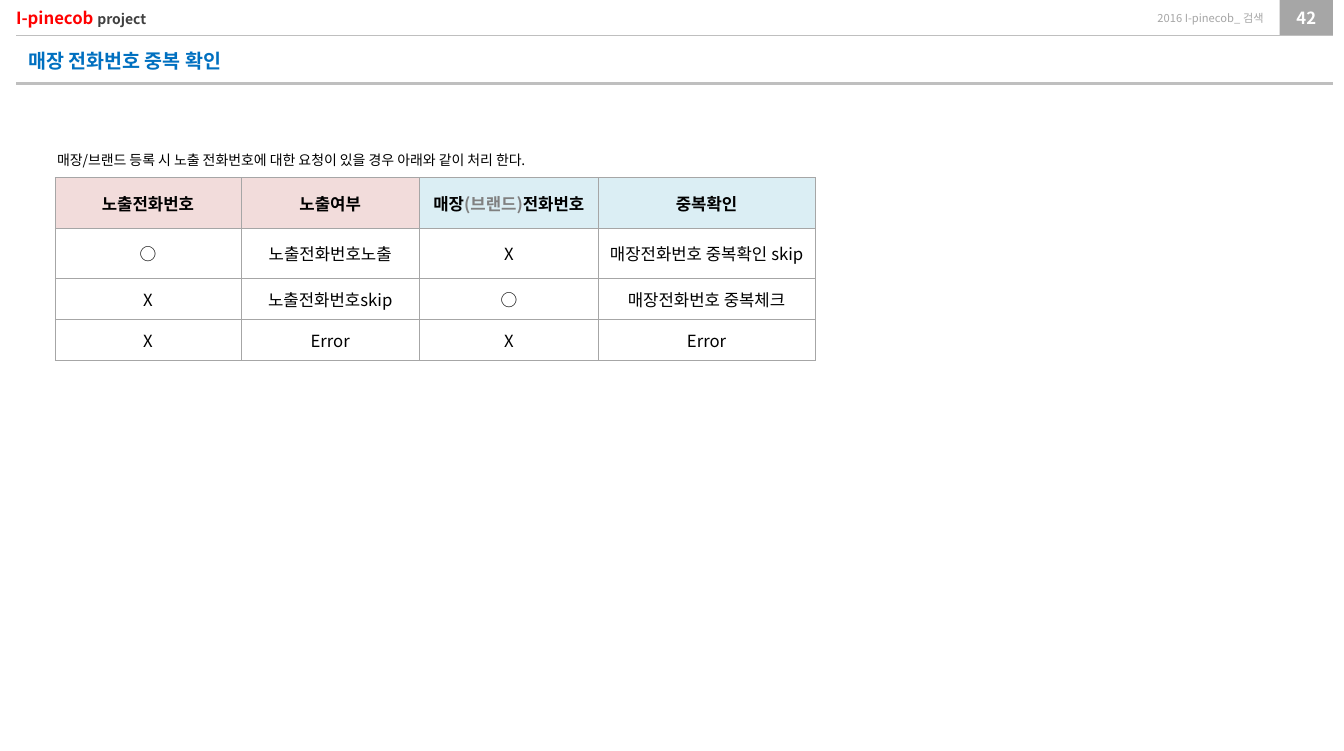
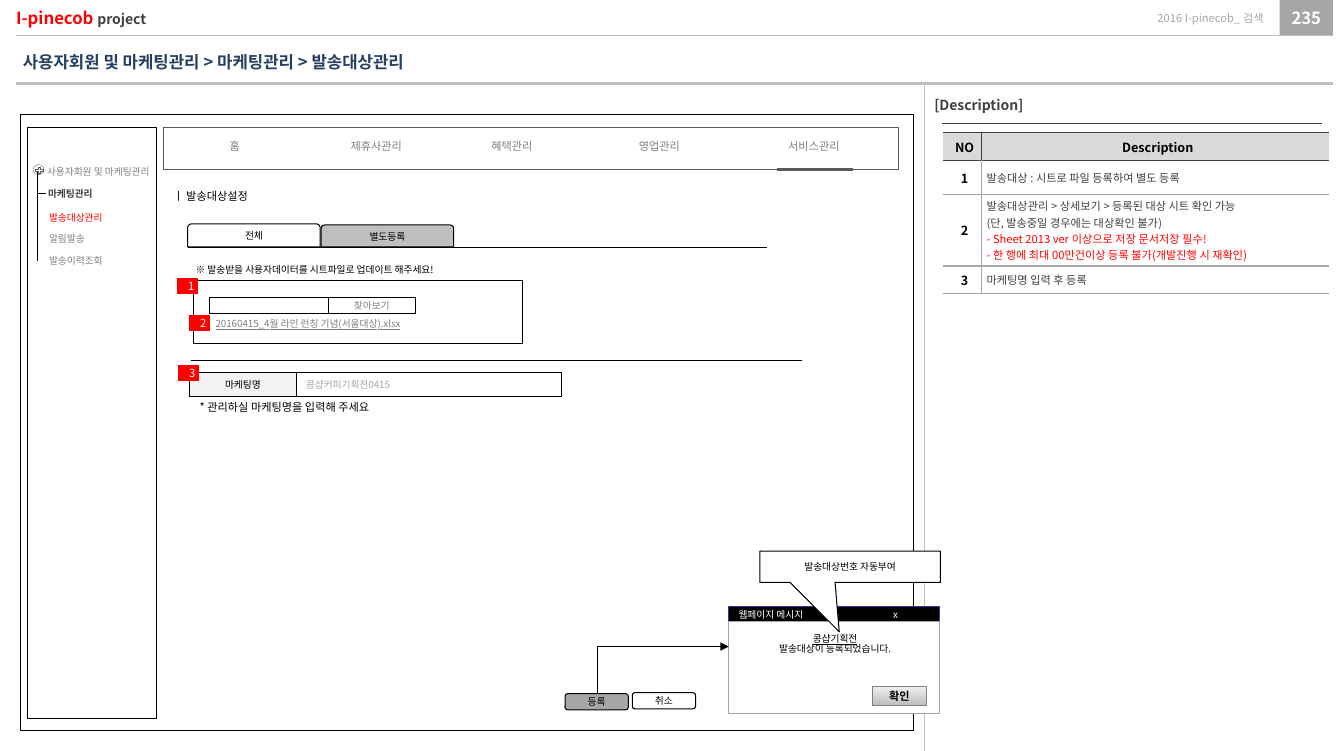
from dataclasses import dataclass
from typing import NamedTuple

from lxml import etree
from pptx import Presentation
from pptx.dml.color import RGBColor
from pptx.enum.shapes import MSO_CONNECTOR, MSO_SHAPE
from pptx.enum.text import MSO_ANCHOR, PP_ALIGN
from pptx.oxml.ns import qn
from pptx.util import Inches, Pt

FONT = "Noto Sans CJK KR"
LEFT, CENTER, RIGHT = PP_ALIGN.LEFT, PP_ALIGN.CENTER, PP_ALIGN.RIGHT
TOP, MIDDLE = MSO_ANCHOR.TOP, MSO_ANCHOR.MIDDLE
STRAIGHT, ELBOW = MSO_CONNECTOR.STRAIGHT, MSO_CONNECTOR.ELBOW
RECT, ROUND, TAB = MSO_SHAPE.RECTANGLE, MSO_SHAPE.ROUNDED_RECTANGLE, MSO_SHAPE.ROUND_2_SAME_RECTANGLE
OVAL, PLUS, CALLOUT = MSO_SHAPE.OVAL, MSO_SHAPE.MATH_PLUS, MSO_SHAPE.RECTANGULAR_CALLOUT

# Page grid: square cells, ten to the inch
COLUMNS, ROWS = 133.9, 74.8
BAND_RIGHT = 132.8
BLACK, WHITE, RED = "000000", "FFFFFF", "FF0000"
DARK, SLATE, MID, GREY, RULE = "404040", "595959", "808080", "A6A6A6", "BFBFBF"
PINK, SKY, HEAD, PALE = "F2DCDB", "DBEEF4", "D9D9D9", "F2F2F2"
NO_INSET = (0, 0, 0, 0)
CELL_INSET = (0.5, 0, 0, 0)
INSET = (1, 0.5, 1, 0.5)


class Area(NamedTuple):
    col: float
    row: float
    cols: float
    rows: float


class Point(NamedTuple):
    col: float
    row: float


@dataclass(frozen=True)
class Span:
    text: str
    size: float = 7
    color: str = BLACK
    bold: bool = False
    underline: bool = False


Para = list[Span]


@dataclass(frozen=True)
class Panel:
    """A shape on the page, with or without text."""
    area: Area
    paras: tuple[Para, ...] = ()
    fill: str | None = WHITE
    line: str | None = BLACK
    weight: float = 0.75
    kind: int = RECT
    align: int = CENTER
    inset: tuple[float, ...] = INSET


@dataclass(frozen=True)
class Label:
    """A plain text box."""
    area: Area
    paras: tuple[Para, ...]
    align: int = LEFT
    anchor: int = TOP
    inset: tuple[float, ...] = INSET


@dataclass(frozen=True)
class Rule:
    start: Point
    end: Point
    color: str = BLACK
    weight: float = 0.75


@dataclass(frozen=True)
class Cell:
    paras: tuple[Para, ...]
    borders: dict[str, str]
    fill: str | None = None
    align: int = CENTER
    inset: tuple[float, ...] = INSET


def grid(cells: float) -> int:
    return Inches(cells / 10)


def rgb(value: str) -> RGBColor:
    return RGBColor.from_string(value)


def paint(fill, color: str | None) -> None:
    if color is None:
        fill.background()
    else:
        fill.solid()
        fill.fore_color.rgb = rgb(color)


def stroke(line, color: str | None, weight: float) -> None:
    paint(line.fill, color)
    line.width = Pt(weight)


def set_margins(target, inset: tuple[float, ...]) -> None:
    for side, value in zip(("left", "top", "right", "bottom"), inset):
        setattr(target, f"margin_{side}", grid(value))


def write(frame, paras: tuple[Para, ...], align: int) -> None:
    for index, spans in enumerate(paras):
        para = frame.paragraphs[0] if index == 0 else frame.add_paragraph()
        para.alignment = align
        for span in spans:
            run = para.add_run()
            run.text = span.text
            formats = {"name": FONT, "size": Pt(span.size), "bold": span.bold, "underline": span.underline}
            for name, value in formats.items():
                setattr(run.font, name, value)
            run.font.color.rgb = rgb(span.color)
            etree.SubElement(run.font._element, qn("a:ea"), typeface=FONT)


def set_frame(frame, item: Panel | Label, anchor: int) -> None:
    frame.word_wrap = True
    frame.vertical_anchor = anchor
    set_margins(frame, item.inset)
    write(frame, item.paras, item.align)


def draw_panel(page, item: Panel):
    shape = page.shapes.add_shape(item.kind, *map(grid, item.area))
    shape.shadow.inherit = False
    paint(shape.fill, item.fill)
    stroke(shape.line, item.line, item.weight)
    if item.paras:
        set_frame(shape.text_frame, item, MIDDLE)
    return shape


def draw_label(page, item: Label):
    box = page.shapes.add_textbox(*map(grid, item.area))
    set_frame(box.text_frame, item, item.anchor)
    return box


def draw_rule(page, item: Rule, kind: int = STRAIGHT):
    rule = page.shapes.add_connector(kind, *map(grid, item.start + item.end))
    stroke(rule.line, item.color, item.weight)
    etree.SubElement(rule._element.spPr, qn("a:effectLst"))
    return rule


def draw_all(page, items: list[Panel | Label | Rule]) -> None:
    tools = {Panel: draw_panel, Label: draw_label, Rule: draw_rule}
    for item in items:
        tools[type(item)](page, item)


def draw_borders(cell, borders: dict[str, str], weight: float) -> None:
    props = cell._tc.get_or_add_tcPr()
    for index, side in enumerate("LRTB"):
        line = etree.Element(qn(f"a:ln{side}"), w=str(Pt(weight)))
        if side in borders:
            solid = etree.SubElement(line, qn("a:solidFill"))
            etree.SubElement(solid, qn("a:srgbClr"), val=borders[side])
        else:
            etree.SubElement(line, qn("a:noFill"))
        props.insert(index, line)


def draw_table(page, origin: Point, widths: list[float], heights: list[float],
               rows: list[list[Cell]], weight: float) -> None:
    area = Area(*origin, sum(widths), sum(heights))
    table = page.shapes.add_table(len(heights), len(widths), *map(grid, area)).table
    table.first_row = table.horz_banding = False
    for column, width in zip(table.columns, widths):
        column.width = grid(width)
    for row, height, items in zip(table.rows, heights, rows):
        row.height = grid(height)
        for cell, item in zip(row.cells, items):
            paint(cell.fill, item.fill)
            draw_borders(cell, item.borders, weight)
            cell.vertical_anchor = MIDDLE
            set_margins(cell, item.inset)
            write(cell.text_frame, item.paras, item.align)


def add_page(deck, number: int, title: Label):
    """Blank page with the shared header band and its title."""
    page = deck.slides.add_slide(deck.slide_layouts[6])
    brand = [Span("I-pinecob ", 12, RED, True), Span("project", 10, DARK, True)]
    draw_all(page, [
        Panel(Area(127.5, 0, 5.3, 3.5), ([Span(str(number), 12, WHITE, True)],), GREY, None, inset=NO_INSET),
        Rule(Point(1.6, 8.3), Point(BAND_RIGHT, 8.3), RULE, 2.25),
        Rule(Point(1.6, 3.5), Point(BAND_RIGHT, 3.5), RULE, 0.25),
        Label(Area(103.2, 0, 22.7, 3.5), ([Span("2016 I-pinecob_ 검색", 8, GREY)],), RIGHT, MIDDLE, NO_INSET),
        Label(Area(1.6, 0, 20.5, 3.5), (brand,), LEFT, MIDDLE, NO_INSET),
        title,
    ])
    return page


def build_phone_check(deck) -> None:
    title = Label(Area(1.6, 4.2, 65.3, 3.6), ([Span("매장 전화번호 중복 확인", 14, "0070C0", True)],),
                  anchor=MIDDLE, inset=(1.2, 0.6, 1.2, 0.6))
    page = add_page(deck, 42, title)
    borders = dict.fromkeys("LRTB", GREY)
    headings = [("노출전화번호", PINK), ("노출여부", PINK), ("매장|(브랜드)|전화번호", SKY), ("중복확인", SKY)]
    body = [
        ["○", "노출전화번호노출", "X", "매장전화번호 중복확인 skip"],
        ["X", "노출전화번호skip", "○", "매장전화번호 중복체크"],
        ["X", "Error", "X", "Error"],
    ]
    rows = [[Cell(([Span(part, 12, MID if part[0] == "(" else BLACK, True) for part in text.split("|")],),
                  borders, fill) for text, fill in headings]]
    rows += [[Cell(([Span(text, 12)],), borders) for text in texts] for texts in body]
    draw_table(page, Point(5.5, 17.7), [18.5, 17.8, 17.8, 21.6], [4.1] * 4, rows, 0.5)
    note = "매장/브랜드 등록 시 노출 전화번호에 대한 요청이 있을 경우 아래와 같이 처리 한다."
    draw_label(page, Label(Area(4.7, 14.6, 78.7, 2.7), ([Span(note, 10)],)))


def draw_description(page) -> None:
    draw_all(page, [
        Label(Area(92.1, 9.1, 17.4, 2.7), ([Span("[Description]", 10, DARK, True)],)),
        Rule(Point(93.9, 12.3), Point(131.7, 12.3), DARK, 0.5),
    ])
    notes = [
        [("발송대상 : 시트로 파일 등록하여 별도 등록", DARK)],
        [("발송대상관리 > 상세보기 > 등록된 대상 시트 확인 가능", DARK),
         ("(단, 발송중일 경우에는 대상확인 불가)", DARK),
         ("- Sheet 2013 ver 이상으로 저장 문서저장 필수!", RED),
         ("- 한 행에 최대 00만건이상 등록 불가(개발진행 시 재확인)", RED)],
        [("마케팅명 입력 후 등록", DARK)],
    ]
    rows = [[Cell(([Span(text, 9, BLACK, True)],), {"T": DARK, "B": DARK, side: DARK}, HEAD, inset=CELL_INSET)
             for text, side in (("NO", "R"), ("Description", "L"))]]
    for number, lines in enumerate(notes, 1):
        edges = {"T": DARK if number == 1 else GREY, "B": GREY}
        paras = tuple([Span(text, 8, color)] for text, color in lines)
        rows.append([
            Cell(([Span(str(number), 9, BLACK, True)],), edges | {"R": GREY}, inset=CELL_INSET),
            Cell(paras, edges | {"L": GREY}, align=LEFT, inset=CELL_INSET),
        ])
    draw_table(page, Point(93.9, 13.2), [3.9, 34.6], [2.8, 3.4, 7.1, 2.7], rows, 1)


def draw_side_menu(page) -> None:
    draw_all(page, [
        Panel(Area(3.3, 16.4, 1.1, 1), line=SLATE, weight=0.25, kind=OVAL),
        Panel(Area(3.4, 16.5, 1, 0.9), fill=None, line=SLATE, weight=0.25, kind=PLUS),
        Label(Area(3.7, 16, 15.9, 2.2), ([Span("사용자회원 및 마케팅관리", color=MID)],)),
        Label(Area(3.8, 18.2, 10.8, 2.2), ([Span("마케팅관리", color=DARK, bold=True)],)),
        Rule(Point(3.7, 17.1), Point(3.7, 26)),
        Rule(Point(3.8, 19.3), Point(4.6, 19.3)),
    ])
    entries = (("발송대상관리", RED), ("알림발송", MID), ("발송이력조회", MID))
    menu = draw_label(page, Label(Area(3.9, 20.6, 12.7, 6.9), tuple([Span(t, color=c)] for t, c in entries)))
    for para in menu.text_frame.paragraphs[1:]:
        para.space_before = Pt(7)


def draw_dialog(page) -> None:
    bar = draw_panel(page, Panel(Area(72.6, 60.4, 21, 1.6), ([Span("웹페이지 메시지\tx", color=WHITE)],),
                                 BLACK, "333399", align=LEFT))
    props = bar.text_frame.paragraphs[0]._p.get_or_add_pPr()
    tabs = etree.SubElement(props, qn("a:tabLst"))
    etree.SubElement(tabs, qn("a:tab"), pos=str(grid(15.4)), algn="l")
    draw_panel(page, Panel(Area(72.6, 61.9, 21, 9.2), line=GREY))
    message = draw_label(page, Label(Area(72.6, 62.7, 21.2, 3.4), (
        [Span("콩샵기획전", underline=True)], [Span("발송대상이 등록되었습니다.")]), CENTER))
    for para in message.text_frame.paragraphs:
        para.line_spacing = 0.86
    button = draw_panel(page, Panel(Area(86.9, 68.4, 5.4, 1.9), ([Span("확인", 8, bold=True)],),
                                    line=MID, inset=(0.4,) * 4))
    button.fill.gradient()
    button.fill.gradient_angle = 90
    for stop, color in zip(button.fill.gradient_stops, ("BDBDBD", "EEEEEE")):
        stop.color.rgb = rgb(color)

    # Arrow from the register button up to the dialog
    arrow = draw_rule(page, Rule(Point(68.4, 73.3), Point(63.7, 60.2)), ELBOW)
    props = arrow._element.spPr
    props.find(qn("a:xfrm")).set("rot", str(90 * 60000))
    props.find(qn("a:prstGeom")).set("prst", "bentConnector2")
    etree.SubElement(props.find(qn("a:ln")), qn("a:tailEnd"), type="triangle")
    callout = draw_panel(page, Panel(Area(75.7, 54.9, 18, 3.1), ([Span("발송대상번호 자동부여")],), kind=CALLOUT))
    callout.adjustments[0], callout.adjustments[1] = -0.06, 2.09


def build_send_targets(deck) -> None:
    title = Label(Area(1.3, 4.7, 56.3, 3),
                  ([Span("사용자회원 및 마케팅관리 > 마케팅관리 > 발송대상관리", 12, "254061", True)],))
    page = add_page(deck, 235, title)
    draw_panel(page, Panel(Area(2, 11.4, 89, 61.4), fill=None))
    draw_description(page)

    # Screen frame and top navigation
    draw_all(page, [Panel(Area(2.7, 12.7, 12.9, 58.9)), Panel(Area(16.3, 12.7, 73.2, 4.2), line=SLATE, weight=0.5)])
    navigation = {"홈": 18, "제휴사관리": 32.1, "혜택관리": 45.6, "영업관리": 60.3, "서비스관리": 75.7}
    draw_all(page, [Label(Area(col, 13.4, 10.8, 2.4), ([Span(text, 8, MID)],), CENTER)
                    for text, col in navigation.items()])

    # Form
    draw_all(page, [
        Rule(Point(92.1, 8.3), Point(92.1, ROWS), RULE),
        Rule(Point(77.4, 16.9), Point(85, 16.9), SLATE, 2.25),
        Label(Area(16.3, 18.4, 15.1, 2.4), ([Span("ㅣ 발송대상설정", 8)],)),
        Panel(Area(18.7, 22.3, 13.2, 2.3), ([Span("전체")],), kind=TAB),
        Panel(Area(32, 22.4, 13.2, 2.2), ([Span("별도등록")],), RULE, kind=TAB),
        Rule(Point(18.7, 24.7), Point(76.4, 24.7)),
        Panel(Area(19.3, 27.9, 32.8, 6.3)),
        Panel(Area(20.9, 29.6, 11.8, 1.6)),
        Panel(Area(32.7, 29.6, 8.7, 1.6), ([Span("찾아보기", color=MID)],)),
        Label(Area(18.5, 25.8, 34.7, 2.2), ([Span("※ 발송받을 사용자데이터를 시트파일로 업데이트 해주세요!")],)),
        Panel(Area(56.3, 69.1, 6.3, 1.6), ([Span("등록")],), GREY, kind=ROUND),
        Panel(Area(63, 69, 6.3, 1.6), ([Span("취소")],), kind=ROUND),
        Label(Area(20.5, 31.2, 22.4, 2.2),
              ([Span("20160415_4월 라인 런칭 기념(서울대상).xlsx", color=MID, underline=True)],)),
        Rule(Point(19, 35.9), Point(79.9, 35.9)),
        Panel(Area(18.9, 37.1, 10.6, 2.4), ([Span("마케팅명")],), PALE),
        Panel(Area(29.5, 37.1, 26.4, 2.4), ([Span("콩샵커피기획전0415", color=GREY)],), align=LEFT),
        Label(Area(18.9, 39.4, 41.2, 2.4), ([Span("* 관리하실 마케팅명을 입력해 주세요", 8)],)),
    ])
    draw_dialog(page)

    # Numbered markers
    markers = (Point(17.7, 27.7), Point(18.9, 31.4), Point(17.8, 36.4))
    draw_all(page, [Panel(Area(*point, 2, 1.5), ([Span(str(number), 8, WHITE)],), RED, RED, inset=(0.7, 0, 0, 0))
                    for number, point in enumerate(markers, 1)])
    draw_side_menu(page)


def main() -> None:
    deck = Presentation()
    deck.slide_width, deck.slide_height = grid(COLUMNS), grid(ROWS)
    build_phone_check(deck)
    build_send_targets(deck)
    deck.save("out.pptx")


if __name__ == "__main__":
    main()
